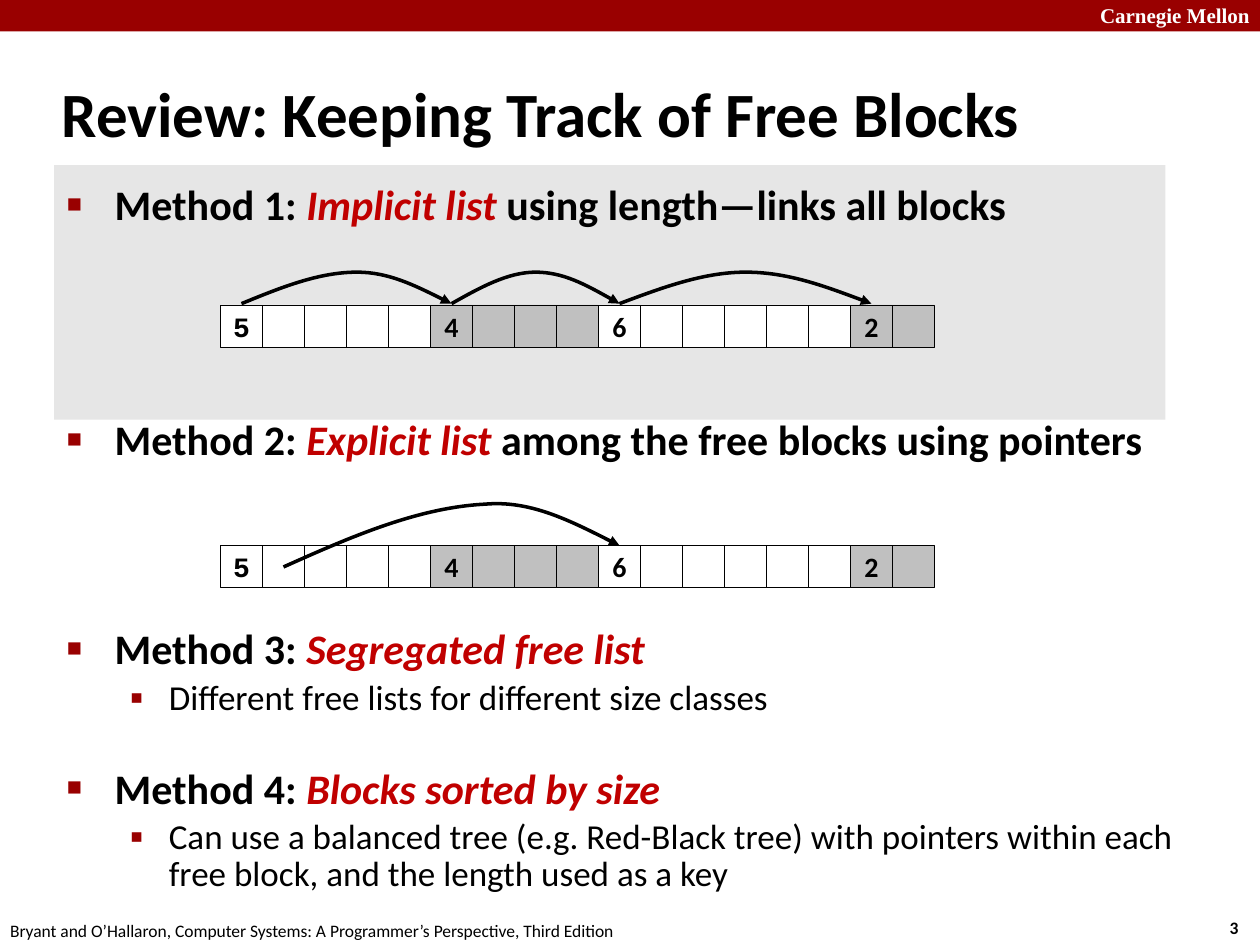
from dataclasses import dataclass
from itertools import accumulate
from lxml import etree
from pptx import Presentation
from pptx.dml.color import RGBColor
from pptx.enum.shapes import MSO_SHAPE
from pptx.enum.text import MSO_ANCHOR, MSO_AUTO_SIZE, PP_ALIGN
from pptx.oxml.ns import qn
from pptx.util import Inches, Pt

RECT = MSO_SHAPE.RECTANGLE
MIDDLE = MSO_ANCHOR.MIDDLE
FIXED = MSO_AUTO_SIZE.NONE
LEFT, CENTER, RIGHT = PP_ALIGN.LEFT, PP_ALIGN.CENTER, PP_ALIGN.RIGHT


@dataclass(frozen=True)
class Theme:
    ink: str = "000000"
    paper: str = "FFFFFF"
    band: str = "990000"
    key: str = "C00000"
    panel: str = "E6E6E6"
    used: str = "C0C0C0"
    sans: str = "Calibri"
    serif: str = "Times New Roman"
    mono: str = "Courier New"
    title: int = 36
    head: int = 24
    sub: int = 20
    cell: int = 16
    brand: int = 12
    foot: int = 10


T = Theme()
CELL = 1 / 3
BLOCKS = [(5, False), (4, True), (6, False), (2, True)]
STARTS = [0, *accumulate(size for size, _ in BLOCKS)][:-1]
EVEN = (1, 0.5, 0, 0, 0, 0.5, 1)
SKEW = (1, 0.55, 0.11, 0.06, 0, 0.34, 0.68)

# level, space before, line spacing, runs as (text, is key term)
POINTS = [
    (0, 0, 1, [("Method 1: ", False), ("Implicit list ", True),
               ("using length—links all blocks", False)]),
    (0, 105.5, 1, [("Method 2: ", False), ("Explicit list ", True),
                   ("among the free blocks using pointers", False)]),
    (0, 95.5, 0.83, [("Method 3: ", False), ("Segregated free list", True)]),
    (1, 4.5, 0.88, [("Different free lists for different size classes", False)]),
    (0, 30, 0.83, [("Method 4: ", False), ("Blocks sorted by size", True)]),
    (1, 4.5, 0.88, [("Can use a balanced tree (e.g. Red-Black tree) with pointers "
                     "within each free block, and the length used as a key", False)]),
]
# left margin, hanging indent, bullet, bullet size in percent
LEVELS = [(0.38, 0.38, "■", 60), (0.81, 0.31, "▪", 110)]


def rgb(code):
    return RGBColor.from_string(code)


def place(shape, box):
    shape.left, shape.top, shape.width, shape.height = map(Inches, box)


def write(par, text, size, color=T.ink, face=T.sans, bold=False, slant=False):
    run = par.add_run()
    run.text = text
    font = run.font
    font.name, font.size, font.bold, font.italic = face, Pt(size), bold, slant
    font.color.rgb = rgb(color)


def block(slide, box, fill, edge=None):
    shape = slide.shapes.add_shape(RECT, *map(Inches, box))
    shape.shadow.inherit = False
    shape.fill.solid()
    shape.fill.fore_color.rgb = rgb(fill)
    if edge:
        shape.line.color.rgb = rgb(edge)
        shape.line.width = Pt(0.25)
    else:
        shape.line.fill.background()
    return shape


def label(slide, box, text, size, align=LEFT, **look):
    frame = slide.shapes.add_textbox(*map(Inches, box)).text_frame
    frame.word_wrap = True
    frame.margin_left = frame.margin_right = 0
    par = frame.paragraphs[0]
    par.alignment = align
    write(par, text, size, **look)


def frame_page(slide, wide, high):
    """Top band with the school name, and the footer line."""
    block(slide, (0, 0, wide, high / 30), T.band)
    label(slide, (wide - 1.58, -0.03, 1.5, 0.3), "Carnegie Mellon", T.brand, RIGHT,
          color=T.paper, face=T.serif, bold=True)
    label(slide, (wide - 0.24, 7.23, 0.24, 0.27), "3", T.foot, bold=True)
    label(slide, (0.08, 7.25, 5.08, 0.25), "Bryant and O’Hallaron, Computer Systems: "
          "A Programmer’s Perspective, Third Edition", T.foot)


def add_title(slide, box):
    shape = slide.shapes.title
    place(shape, box)
    frame = shape.text_frame
    frame.auto_size = FIXED
    frame.vertical_anchor = MIDDLE
    par = frame.paragraphs[0]
    par.alignment = LEFT
    write(par, "Review: Keeping Track of Free Blocks", T.title, bold=True)


def bullet(par, level):
    margin, hang, mark, size = LEVELS[level]
    props = par._p.get_or_add_pPr()
    props.set("marL", str(Inches(margin)))
    props.set("indent", str(-Inches(hang)))
    tint = etree.SubElement(props, qn("a:buClr"))
    etree.SubElement(tint, qn("a:srgbClr"), val=T.band)
    etree.SubElement(props, qn("a:buSzPct"), val=str(size * 1000))
    etree.SubElement(props, qn("a:buFont"), typeface="Arial")
    etree.SubElement(props, qn("a:buChar"), char=mark)


def add_list(slide, box):
    shape = slide.placeholders[1]
    place(shape, box)
    frame = shape.text_frame
    frame.auto_size = FIXED
    for num, (level, gap, lead, runs) in enumerate(POINTS):
        par = frame.add_paragraph() if num else frame.paragraphs[0]
        par.level = level
        bullet(par, level)
        par.space_before, par.line_spacing = Pt(gap), lead
        for text, key in runs:
            write(par, text, T.sub if level else T.head,
                  T.key if key else T.ink, bold=not level, slant=key)


def add_heap(slide, left, top):
    """One row of words; the first word of each block shows its size."""
    for start, (size, used) in zip(STARTS, BLOCKS):
        for step in range(size):
            box = (left + (start + step) * CELL, top, CELL, CELL)
            shape = block(slide, box, T.used if used else T.paper, T.ink)
            if step == 0:
                frame = shape.text_frame
                frame.word_wrap = False
                frame.vertical_anchor = MIDDLE
                par = frame.paragraphs[0]
                par.alignment = CENTER
                write(par, str(size), T.cell, bold=True,
                      face=T.sans if start else T.mono)


def add_arc(slide, box, apex=0.5, rise=EVEN):
    """Curved arrow of two Bezier pieces that meet at the apex share."""
    left, top, wide, high = box
    across = [apex * i / 3 for i in range(3)]
    across += [apex + (1 - apex) * i / 3 for i in range(4)]
    dots = [(Inches(left + x * wide), Inches(top + y * high))
            for x, y in zip(across, rise)]
    pen = slide.shapes.build_freeform(*dots[0])
    pen.add_line_segments(dots[1:], close=False)
    shape = pen.convert_to_shape()
    shape.shadow.inherit = False
    shape.fill.background()
    shape.line.color.rgb = rgb(T.ink)
    shape.line.width = Pt(2)
    route = next(shape._element.iter(qn("a:path")))
    legs = route.findall(qn("a:lnTo"))
    for i in (0, 3):
        curve = etree.SubElement(route, qn("a:cubicBezTo"))
        for leg in legs[i:i + 3]:
            curve.append(leg[0])
            route.remove(leg)
    etree.SubElement(shape.line._get_or_add_ln(), qn("a:tailEnd"), type="triangle")


def add_links(slide, left, top):
    """Arrows from each block's first word to the next one's."""
    for num, (start, end) in enumerate(zip(STARTS, STARTS[1:])):
        box = (left + (start + 0.5) * CELL, top - 0.26, (end - start) * CELL, 0.25)
        add_arc(slide, box, 0.5 if num else 0.55)


def main():
    deck = Presentation()
    deck.slide_width, deck.slide_height = Inches(10), Inches(7.5)
    slide = deck.slides.add_slide(deck.slide_layouts[1])
    panel = block(slide, (0.43, 1.31, 8.82, 2.02), T.panel)
    slide.shapes._spTree.insert(2, panel._element)
    frame_page(slide, 10, 7.5)
    add_title(slide, (0.39, 0.48, 9.28, 0.83))
    add_list(slide, (0.43, 1.37, 9.07, 5.88))
    left, first, second = 1.75, 2.42, 4.33
    add_heap(slide, left, first)
    add_links(slide, left, first)
    add_heap(slide, left, second)
    add_arc(slide, (left + 1.5 * CELL, second - 0.36, 8 * CELL, 0.53), 0.6, SKEW)
    deck.save("out.pptx")


if __name__ == "__main__":
    main()
